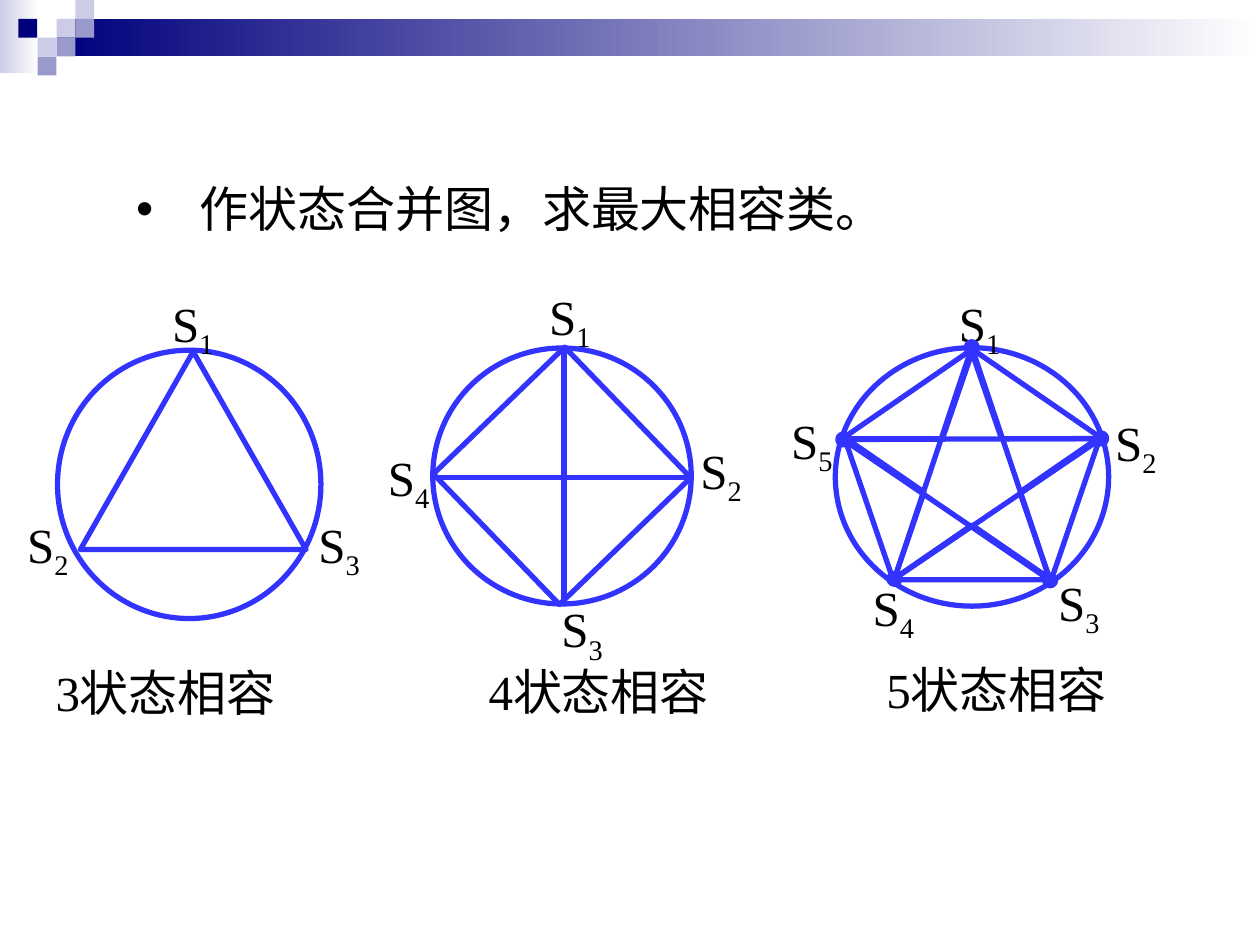
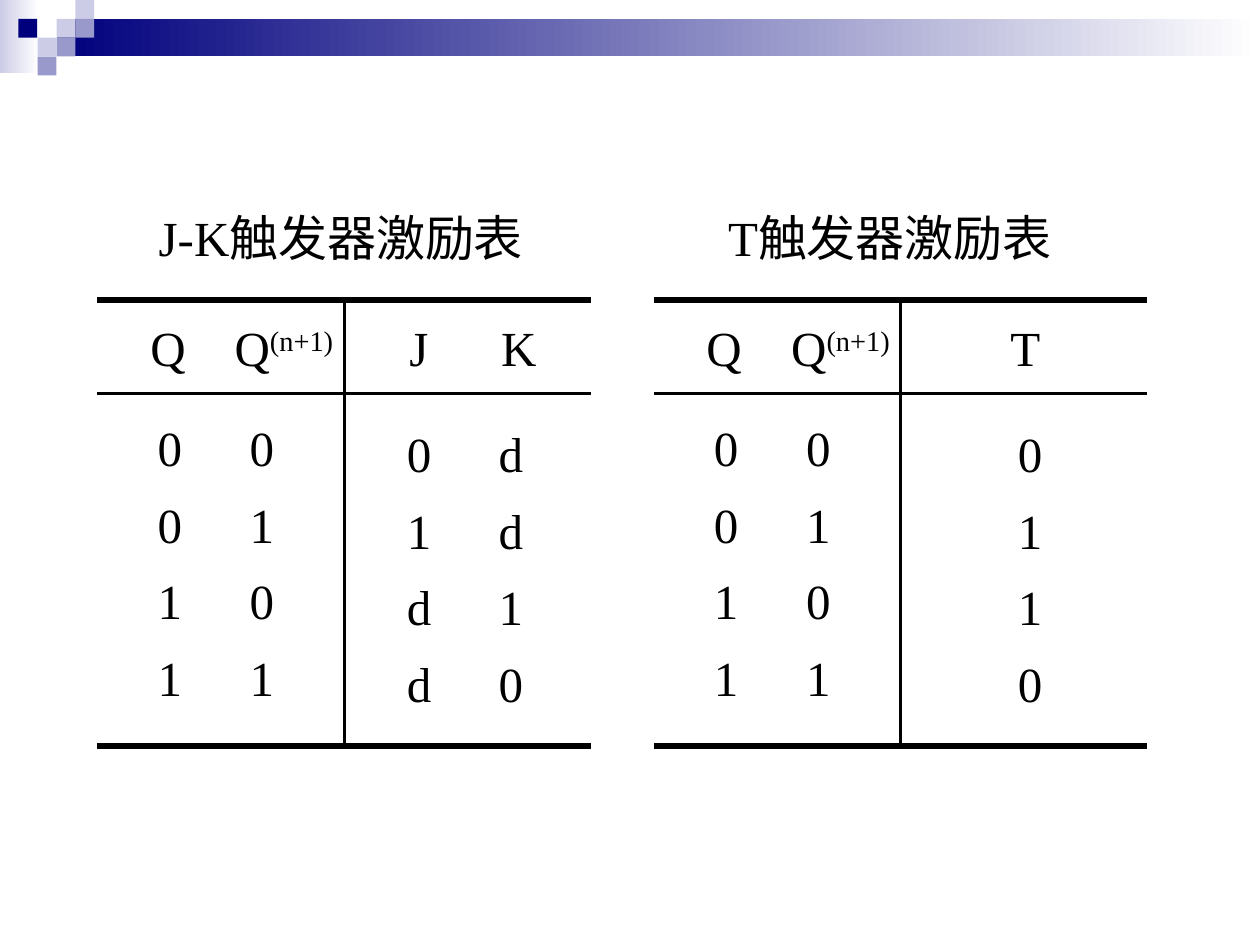
from dataclasses import dataclass
from itertools import combinations

from lxml import etree
from pptx import Presentation
from pptx.dml.color import RGBColor
from pptx.enum.shapes import MSO_CONNECTOR, MSO_SHAPE
from pptx.enum.text import MSO_ANCHOR, MSO_AUTO_SIZE
from pptx.oxml.ns import qn
from pptx.util import Cm, Pt

STRAIGHT = MSO_CONNECTOR.STRAIGHT
RECTANGLE, OVAL = MSO_SHAPE.RECTANGLE, MSO_SHAPE.OVAL
TRIANGLE, PENTAGON, STAR = MSO_SHAPE.ISOSCELES_TRIANGLE, MSO_SHAPE.REGULAR_PENTAGON, MSO_SHAPE.STAR_5_POINT
MIDDLE, BOTTOM = MSO_ANCHOR.MIDDLE, MSO_ANCHOR.BOTTOM
FIT_SHAPE = MSO_AUTO_SIZE.SHAPE_TO_FIT_TEXT


@dataclass(frozen=True)
class Theme:
    """Colours, type and line weights shared by the slides."""
    ink: RGBColor = RGBColor(0x00, 0x00, 0x00)
    paper: RGBColor = RGBColor(0xFF, 0xFF, 0xFF)
    graph: RGBColor = RGBColor(0x33, 0x33, 0xFF)
    navy: RGBColor = RGBColor(0x00, 0x00, 0x7D)
    lilac: RGBColor = RGBColor(0xCC, 0xCC, 0xE6)
    violet: RGBColor = RGBColor(0x99, 0x99, 0xCC)
    font: str = "Times New Roman"
    size: Pt = Pt(28)
    heavy: Pt = Pt(3)
    thin: Pt = Pt(1.5)
    subscript: int = -25000
    superscript: int = 30000


THEME = Theme()
TEXT_FORMAT = {"name": THEME.font, "size": THEME.size}
BOX_FORMAT = {"word_wrap": False, "auto_size": FIT_SHAPE}
LABEL_SIZE = (1.35, 1.6)
CAPTION_SIZE = (5.18, 1.45)
DOT_SIZE = 0.22

TABLE_TOP = 6.05
ROW_HEIGHTS = (1.88, 1.93, 1.55, 1.55, 2.08)
ROW_BOTTOMS = (0, 0.24, 0.25, 0.25, 0.78)
HEADER_DROP = 0.12
OUTPUT_DROP = 0.12
STATE_HEADER = ("Q", "Q^(n+1)")
STATES = ("00", "01", "10", "11")


def apply_format(target, values):
    """Set each attribute named in values on target."""
    for name, value in values.items():
        setattr(target, name, value)


def write(paragraph, text, baseline=0, mark=None):
    """Write text, shifting what follows the mark off the baseline."""
    base, _, shifted = text.partition(mark) if mark else (text, "", "")
    for part, shift in ((base, 0), (shifted, baseline)):
        if part:
            run = paragraph.add_run()
            run.text = part
            apply_format(run.font, TEXT_FORMAT)
            run.font.color.rgb = THEME.ink
            if shift:
                run._r.get_or_add_rPr().set("baseline", str(shift))


def add_text(shapes, left, top, size, text):
    """Add an unwrapped text; an underscore starts a subscript."""
    frame = shapes.add_textbox(Cm(left), Cm(top), *map(Cm, size)).text_frame
    apply_format(frame, BOX_FORMAT)
    write(frame.paragraphs[0], text, THEME.subscript, "_")


def add_block(shapes, kind, box, *colours):
    """Add an unlined shape in one colour or a left-to-right gradient."""
    block = shapes.add_shape(kind, *map(Cm, box))
    block.shadow.inherit = False
    block.line.fill.background()
    if len(colours) == 1:
        block.fill.solid()
        block.fill.fore_color.rgb = colours[0]
    else:
        block.fill.gradient()
        block.fill.gradient_angle = 0
        for stop, colour in zip(block.fill.gradient_stops, colours):
            stop.color.rgb = colour
    return block


def add_outline(shapes, kind, box, rotation=0):
    """Add an unfilled figure drawn in the graph colour."""
    figure = shapes.add_shape(kind, *map(Cm, box))
    figure.shadow.inherit = False
    figure.fill.background()
    figure.line.color.rgb = THEME.graph
    figure.line.width = THEME.heavy
    figure.rotation = rotation


def add_line(shapes, start, end, colour=THEME.graph, width=THEME.heavy):
    """Join two points with a straight line."""
    line = shapes.add_connector(STRAIGHT, *map(Cm, (*start, *end)))
    line.line.color.rgb = colour
    line.line.width = width
    etree.SubElement(line._element.spPr, qn("a:effectLst"))


def add_dot(shapes, centre):
    """Mark a vertex with a solid dot."""
    left, top = (value - DOT_SIZE / 2 for value in centre)
    dot = add_block(shapes, OVAL, (left, top, DOT_SIZE, DOT_SIZE), THEME.graph)
    dot.line.color.rgb = THEME.graph
    dot.line.width = THEME.heavy


def add_merge_graph(slide, outlines, edges, vertices, labels, caption):
    """Group the figures, edges, labels, vertices and caption of one graph."""
    shapes = slide.shapes.add_group_shape().shapes
    for outline in outlines:
        add_outline(shapes, *outline)
    for edge in edges:
        add_line(shapes, *edge)
    for state, (left, top) in labels.items():
        add_text(shapes, left, top, LABEL_SIZE, f"S_{state}")
    for vertex in vertices:
        add_dot(shapes, vertex)
    left, top = caption
    add_text(shapes, left, top, CAPTION_SIZE, f"{len(labels)}状态相容")


def add_bullet(body, text):
    """Place the body placeholder and write its single bullet."""
    apply_format(body, {"left": Cm(2.49), "top": Cm(3.12), "width": Cm(19.86), "height": Cm(1.8)})
    body.text_frame.auto_size = FIT_SHAPE
    paragraph = body.text_frame.paragraphs[0]
    properties = paragraph._p.get_or_add_pPr()
    properties.set("marL", str(Cm(1.28)))
    properties.set("indent", str(-Cm(1.28)))
    etree.SubElement(properties, qn("a:buChar"), char="•")
    apply_format(paragraph, {"line_spacing": 1.3, "space_before": Pt(0)})
    write(paragraph, text)


def add_table_rules(slide, left, widths):
    """Rule the top, bottom, header edge and divider of a table."""
    right = left + sum(widths)
    divider = left + sum(widths[:len(STATE_HEADER)])
    bottom = TABLE_TOP + sum(ROW_HEIGHTS)
    header_edge = TABLE_TOP + ROW_HEIGHTS[0]
    shapes = slide.shapes.add_group_shape().shapes
    for y, width in ((TABLE_TOP, THEME.heavy), (bottom, THEME.heavy), (header_edge, THEME.thin)):
        add_line(shapes, (left, y), (right, y), THEME.ink, width)
    add_line(shapes, (divider, TABLE_TOP), (divider, bottom), THEME.ink, THEME.thin)


def add_excitation_table(slide, left, widths, header_insets, body_insets, header, outputs):
    """Add a flip-flop table of state pairs and the inputs they need."""
    rows = [STATE_HEADER + header, *(tuple(s + o) for s, o in zip(STATES, outputs))]
    table = slide.shapes.add_table(
        len(rows), len(widths), Cm(left), Cm(TABLE_TOP), Cm(sum(widths)), Cm(sum(ROW_HEIGHTS))).table
    apply_format(table, {"first_row": False, "horz_banding": False})
    for column, width in zip(table.columns, widths):
        column.width = Cm(width)
    for r, values in enumerate(rows):
        table.rows[r].height = Cm(ROW_HEIGHTS[r])
        insets = body_insets if r else header_insets
        for c, value in enumerate(values):
            cell = table.cell(r, c)
            drop = OUTPUT_DROP if r and c >= len(STATE_HEADER) else 0
            cell.fill.background()
            apply_format(cell, {
                "margin_left": Cm(insets[c]), "margin_right": 0,
                "margin_top": 0 if r else Cm(HEADER_DROP),
                "margin_bottom": Cm(ROW_BOTTOMS[r] - drop),
                "vertical_anchor": BOTTOM if r else MIDDLE})
            write(cell.text_frame.paragraphs[0], value, THEME.superscript, "^")
    add_table_rules(slide, left, widths)


def add_master_band(prs, slide):
    """Draw the gradient band and checker squares and move them to the master."""
    band = slide.shapes.add_group_shape()
    add_block(band.shapes, RECTANGLE, (0, 0, 0.79, 1.47), THEME.lilac, THEME.paper)
    add_block(band.shapes, RECTANGLE, (1.14, 0.38, 24.26, 0.76), THEME.navy, THEME.paper)
    squares = (
        (1.14, 0.38, THEME.lilac), (1.52, 0, THEME.lilac), (1.52, 0.38, THEME.violet),
        (0.76, 0.76, THEME.lilac), (0.37, 0.38, THEME.navy), (1.14, 0.76, THEME.violet),
        (0.76, 1.14, THEME.violet))
    for left, top, colour in squares:
        add_block(band.shapes, RECTANGLE, (left, top, 0.38, 0.38), colour)
    prs.slide_master.shapes.element.insert(2, band.element)


def build_merge_slide(prs):
    """Build the slide of state merge graphs."""
    slide = prs.slides.add_slide(prs.slide_layouts[1])
    title = slide.shapes.title.element
    title.getparent().remove(title)
    add_bullet(slide.placeholders[1], "作状态合并图，求最大相容类。")

    add_merge_graph(
        slide,
        [(OVAL, (1.16, 7.06, 5.31, 5.41)), (TRIANGLE, (1.62, 7.09, 4.55, 3.99))],
        [], [],
        {1: (3.22, 5.79), 2: (0.3, 10.25), 3: (6.17, 10.25)},
        (0.87, 13.23))

    add_merge_graph(
        slide,
        [(OVAL, (8.75, 6.99, 5.16, 5.21), 270), (RECTANGLE, (9.5, 7.75, 3.66, 3.68), 226)],
        [((8.74, 9.63), (13.94, 9.63)), ((11.37, 7.01), (11.37, 12.09))],
        [],
        {1: (10.82, 5.65), 2: (13.87, 8.75), 3: (11.07, 11.95), 4: (7.57, 8.9)},
        (9.6, 13.21))

    vertices = [(19.59, 7), (22.2, 8.84), (21.17, 11.7), (18.03, 11.67), (17, 8.86)]
    diagonals = [(vertices[a], vertices[b])
                 for a, b in combinations(range(5), 2) if b - a in (2, 3)]
    add_merge_graph(
        slide,
        [(OVAL, (16.84, 7.01, 5.51, 5.21)), (PENTAGON, (17.02, 7.04, 5.16, 4.65)),
         (STAR, (17.07, 7.11, 5.05, 4.55))],
        diagonals, vertices,
        {1: (19.08, 5.79), 2: (22.23, 8.19), 3: (21.08, 11.41), 4: (17.34, 11.51), 5: (15.7, 8.15)},
        (17.62, 13.18))
    return slide


def build_excitation_slide(prs):
    """Build the slide of flip-flop excitation tables."""
    slide = prs.slides.add_slide(prs.slide_layouts[6])
    add_excitation_table(
        slide, 1.96, (2.59, 2.39, 2.79, 2.18), (1.07, 0.18, 1.31, 0.37), (1.22, 0.48, 1.26, 0.32),
        ("J", "K"), ("0d", "1d", "d1", "d0"))
    add_excitation_table(
        slide, 13.18, (2.59, 2.38, 4.97), (1.06, 0.18, 2.22), (1.21, 0.48, 2.37),
        ("T",), "0110")
    add_text(slide.shapes, 2.95, 4.06, (8.08, 1.45), "J-K触发器激励表")
    add_text(slide.shapes, 14.43, 4.06, (7.26, 1.45), "T触发器激励表")


def main():
    """Build and save the presentation."""
    prs = Presentation()
    apply_format(prs, {"slide_width": Cm(25.4), "slide_height": Cm(19.05)})
    merge_slide = build_merge_slide(prs)
    add_master_band(prs, merge_slide)
    build_excitation_slide(prs)
    prs.save("out.pptx")


if __name__ == "__main__":
    main()
